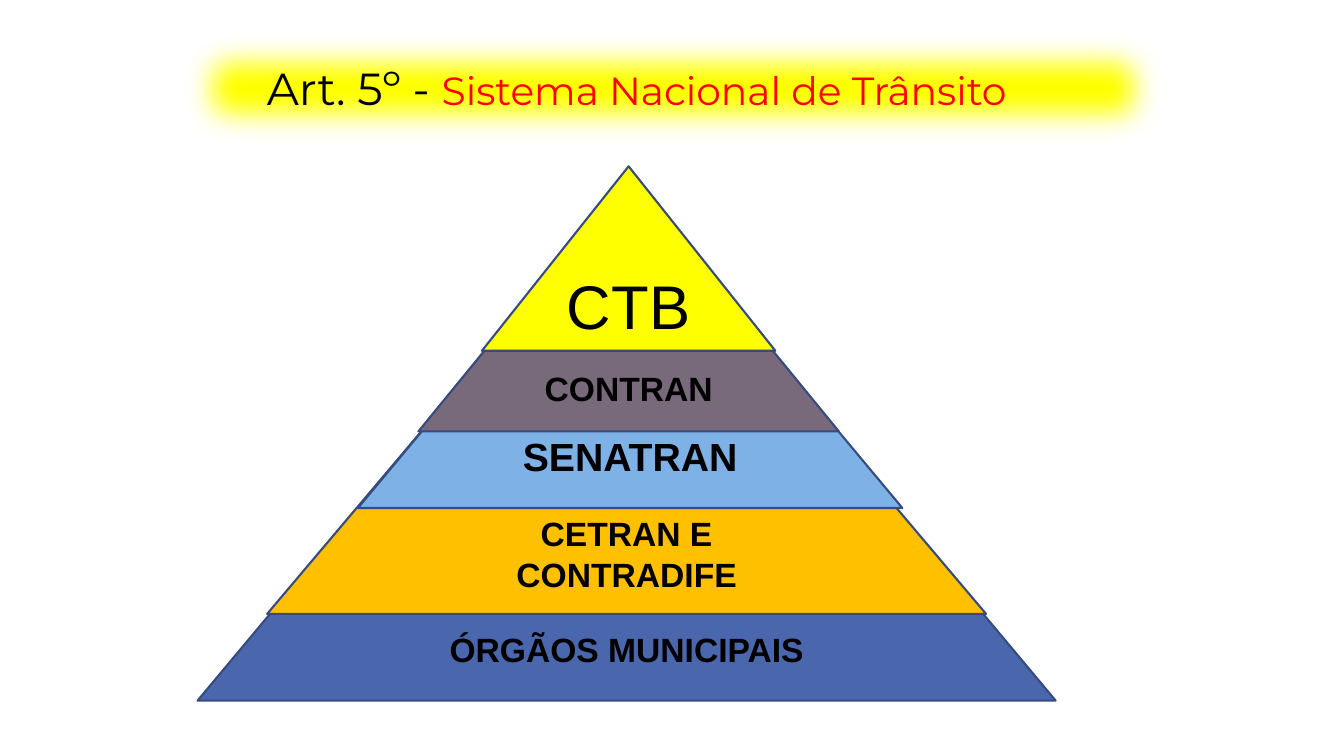
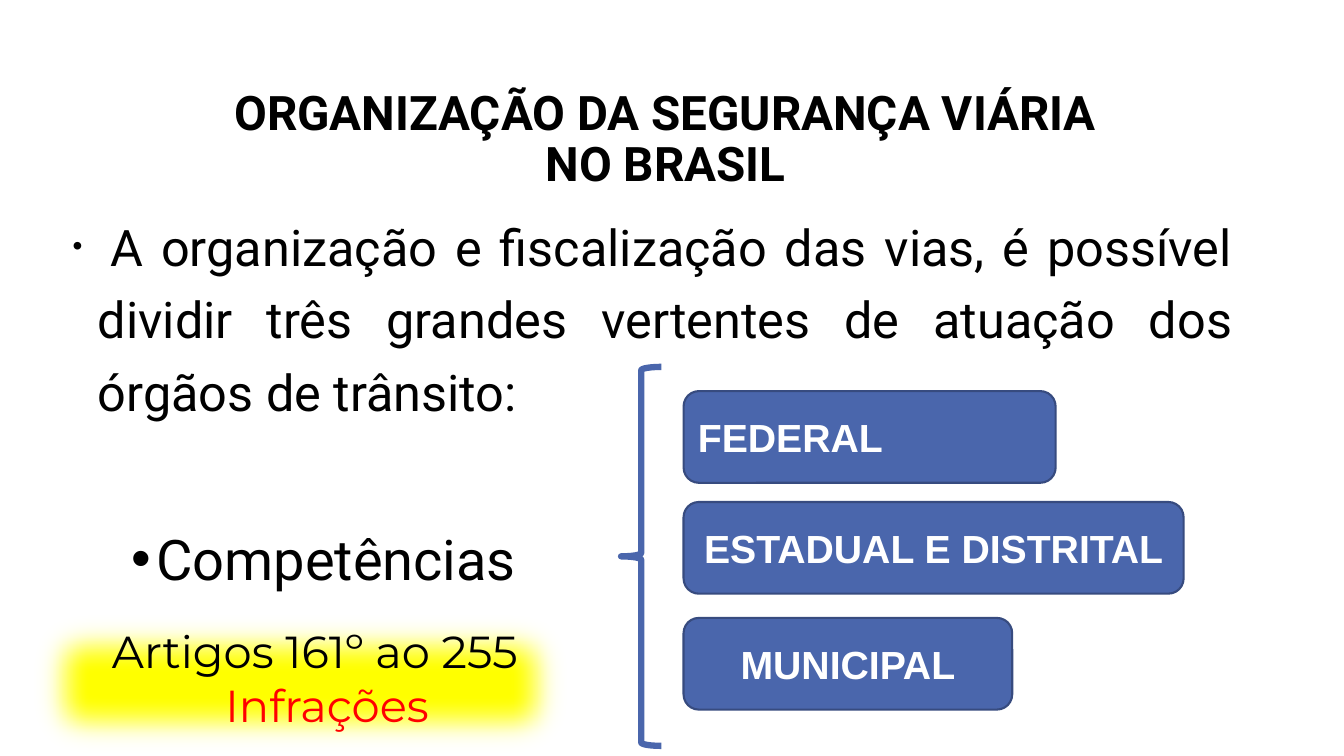
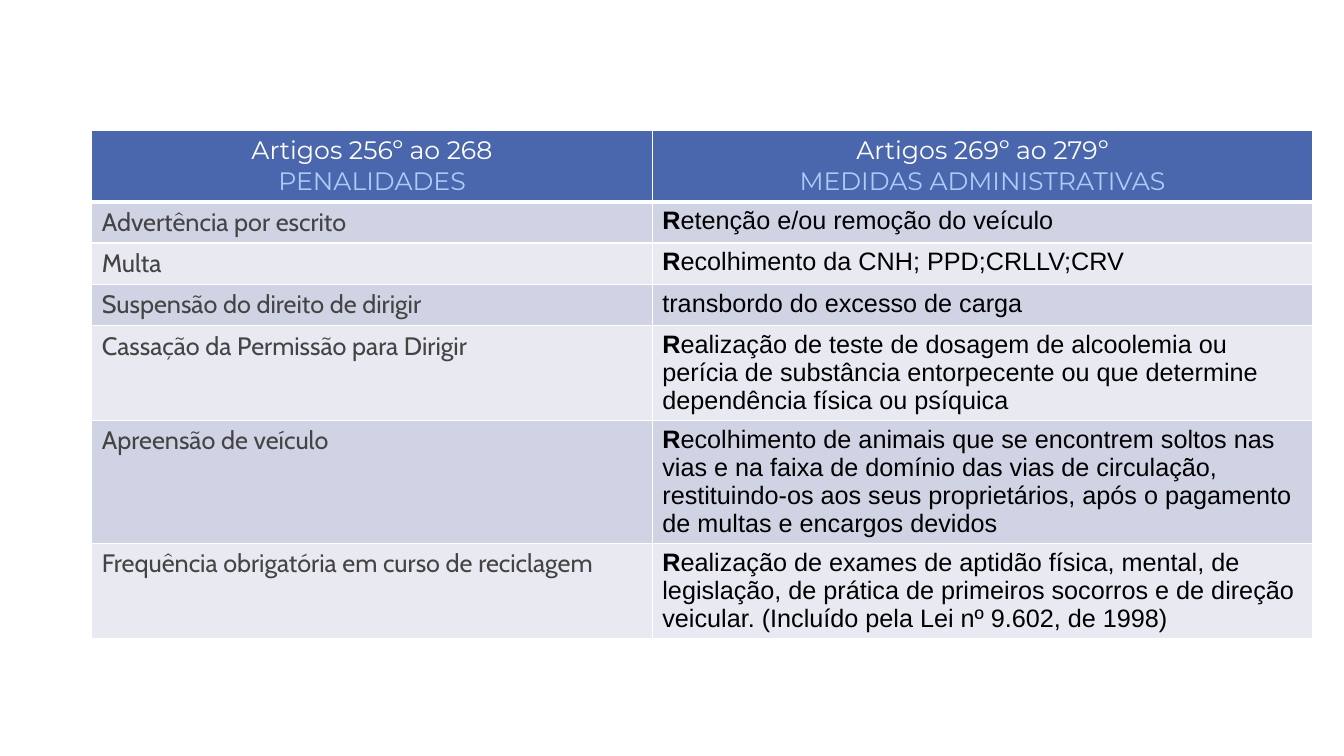
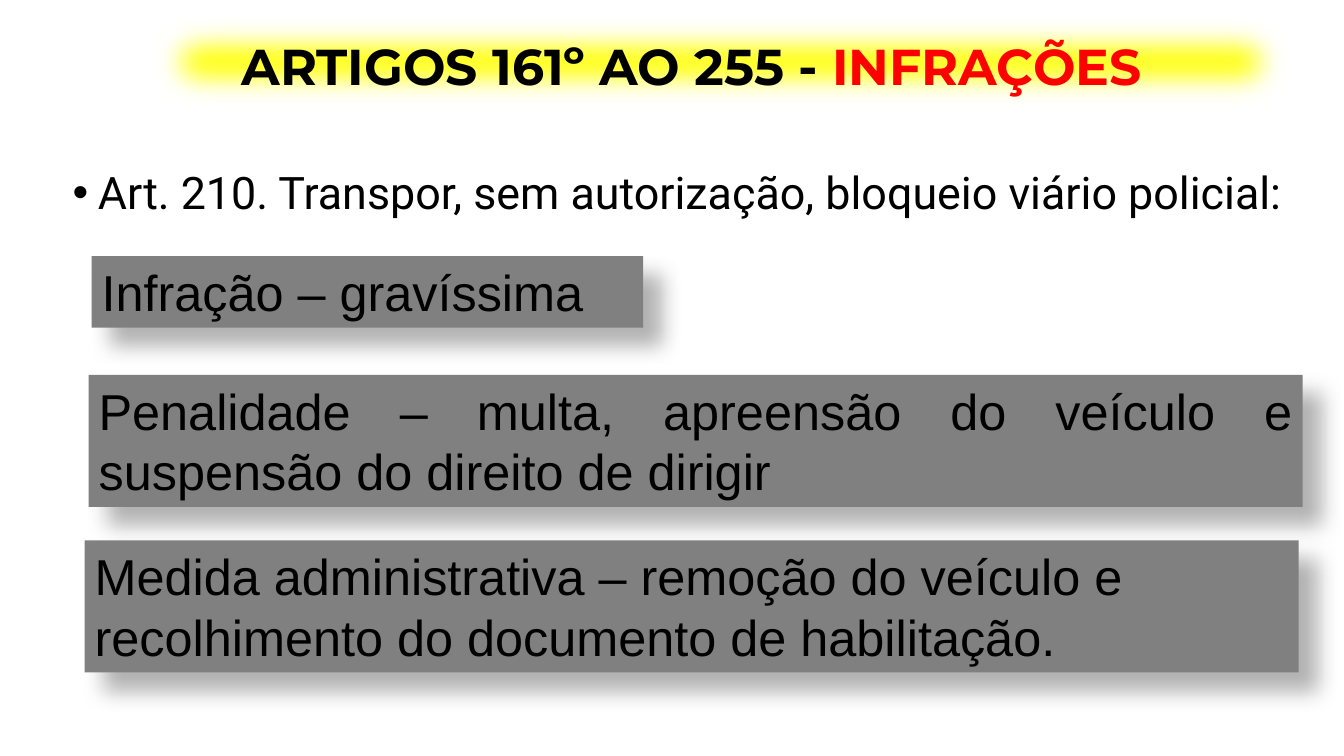
from collections import namedtuple

from lxml import etree
from pptx import Presentation
from pptx import util as u
from pptx.dml.color import RGBColor
from pptx.enum import shapes, text
from pptx.oxml import ns

BLACK = RGBColor(0x00, 0x00, 0x00)
WHITE = RGBColor(0xFF, 0xFF, 0xFF)
RED = RGBColor(0xFF, 0x00, 0x00)
YELLOW = RGBColor(0xFF, 0xFF, 0x00)
BLUE = RGBColor(0x4A, 0x66, 0xAC)
NAVY = RGBColor(0x37, 0x4B, 0x7F)
SKY = RGBColor(0x7E, 0xB2, 0xE6)
PALE_BLUE = RGBColor(0xAC, 0xCB, 0xF9)
AMBER = RGBColor(0xFF, 0xC0, 0x00)
MAUVE = RGBColor(0x78, 0x69, 0x7B)
GRAY = RGBColor(0x80, 0x80, 0x80)
DARK_GRAY = RGBColor(0x44, 0x44, 0x44)
ROW_FILLS = (RGBColor(0xD0, 0xD3, 0xE3), RGBColor(0xE9, 0xEA, 0xF1))

ALIGN = text.PP_ALIGN
ANCHOR = text.MSO_ANCHOR
SHAPE = shapes.MSO_SHAPE

Span = namedtuple("Span", "words size font color bold", defaults=("Arial", BLACK, False))


def add_node(parent, tag, **attributes):
    return etree.SubElement(parent, ns.qn(tag), {key: str(value) for key, value in attributes.items()})


def write(para, spans, align=ALIGN.LEFT):
    para.alignment = align
    for span in spans:
        for index, line in enumerate(span.words.split("\n")):
            if index:
                para.add_line_break()
            run = para.add_run()
            run.text = line
            run.font.size = u.Pt(span.size)
            run.font.name = span.font
            run.font.color.rgb = span.color
            run.font.bold = span.bold


def set_frame(shape, anchor):
    frame = shape.text_frame
    frame.word_wrap = True
    frame.auto_size = text.MSO_AUTO_SIZE.NONE
    frame.vertical_anchor = anchor
    return frame


def place(shape, box):
    shape.left, shape.top, shape.width, shape.height = map(u.Inches, box)


def add_title(page, box, spans, spacing=0.9):
    title = page.shapes.title
    place(title, box)
    para = set_frame(title, ANCHOR.MIDDLE).paragraphs[0]
    para.line_spacing = spacing
    write(para, spans, ALIGN.CENTER)
    return title


def add_bullet(holder, box, spans, align=ALIGN.LEFT):
    place(holder, box)
    para = set_frame(holder, ANCHOR.TOP).paragraphs[0]
    para.line_spacing = 1.2
    para.space_before = u.Pt(10)
    write(para, spans, align)
    properties = para._p.get_or_add_pPr()
    properties.set("marL", str(u.Inches(0.25)))
    properties.set("indent", str(u.Inches(-0.25)))
    add_node(properties, "a:buFont", typeface="Arial")
    add_node(properties, "a:buChar", char="•")


def add_box(page, kind, box, fill=None, line=None, width=1.5):
    shape = page.shapes.add_shape(kind, *map(u.Inches, box))
    shape.shadow.inherit = False
    if fill is None:
        shape.fill.background()
    else:
        shape.fill.solid()
        shape.fill.fore_color.rgb = fill
    if line is None:
        shape.line.fill.background()
    else:
        shape.line.color.rgb = line
        shape.line.width = u.Pt(width)
    return shape


def effects_of(shape):
    return shape.element.spPr.find(ns.qn("a:effectLst"))


def add_glow(page, box):
    glow = add_box(page, SHAPE.RECTANGLE, box, YELLOW)
    add_node(effects_of(glow), "a:softEdge", rad=u.Pt(25))
    return glow


def add_level(page, box, fill, span, bottom):
    level = add_box(page, SHAPE.ISOSCELES_TRIANGLE, box, fill, NAVY)
    frame = set_frame(level, ANCHOR.BOTTOM)
    frame.margin_left = frame.margin_right = u.Inches(0.02)
    frame.margin_bottom = u.Inches(bottom)
    write(frame.paragraphs[0], [span], ALIGN.CENTER)


def add_sphere(page, box, words, align):
    sphere = add_box(page, SHAPE.ROUNDED_RECTANGLE, box, BLUE, NAVY)
    frame = set_frame(sphere, ANCHOR.MIDDLE)
    write(frame.paragraphs[0], [Span(words, 28, color=WHITE, bold=True)], align)


def add_consequence(page, box, words, align=ALIGN.LEFT):
    panel = add_box(page, SHAPE.RECTANGLE, box, GRAY)
    shadow = add_node(effects_of(panel), "a:outerShdw", blurRad=u.Pt(15), dist=u.Pt(18),
                      dir=45 * 60000, algn="tl", rotWithShape=0)
    color = add_node(shadow, "a:srgbClr", val=BLACK)
    add_node(color, "a:alpha", val=30000)
    frame = set_frame(panel, ANCHOR.TOP)
    frame.auto_size = text.MSO_AUTO_SIZE.SHAPE_TO_FIT_TEXT
    write(frame.paragraphs[0], [Span(words, 36)], align)


def style_cell(cell, fill, bottom=1):
    cell.fill.solid()
    cell.fill.fore_color.rgb = fill
    properties = cell._tc.get_or_add_tcPr()
    for index, (side, points) in enumerate((("L", 1), ("R", 1), ("T", 1), ("B", bottom))):
        border = add_node(properties, f"a:ln{side}", w=u.Pt(points))
        add_node(add_node(border, "a:solidFill"), "a:srgbClr", val=WHITE)
        properties.insert(index, border)


def add_measures_table(page, box, widths, heights, headers, rows):
    frame = page.shapes.add_table(len(rows) + 1, len(widths), *map(u.Inches, box))
    table = frame.table
    table.first_row = table.horz_banding = False
    for column, width in zip(table.columns, widths):
        column.width = u.Inches(width)
    for row, height in zip(table.rows, heights):
        row.height = u.Inches(height)
    for column, (articles, heading) in enumerate(headers):
        cell = table.cell(0, column)
        style_cell(cell, BLUE, 3)
        write(cell.text_frame.paragraphs[0], [Span(articles, 18, "Montserrat", WHITE)], ALIGN.CENTER)
        write(cell.text_frame.add_paragraph(), [Span(heading, 18, "Montserrat", PALE_BLUE)], ALIGN.CENTER)
    for number, (penalty, measure) in enumerate(rows, 1):
        initial = 1 if measure[0].isupper() else 0
        measure_spans = [Span(measure[:initial], 18, bold=True)] if initial else []
        measure_spans.append(Span(measure[initial:], 18))
        contents = ([Span(penalty, 18, "Cabin", DARK_GRAY)], measure_spans)
        for column, spans in enumerate(contents):
            cell = table.cell(number, column)
            style_cell(cell, ROW_FILLS[(number - 1) % 2])
            write(cell.text_frame.paragraphs[0], spans)


def build_pyramid(deck):
    page = deck.slides.add_slide(deck.slide_layouts[5])
    title = add_title(page, (1.56, 0.27, 9.51, 1.2), [
        Span("Art. 5º - ", 32, "Montserrat"),
        Span("Sistema Nacional de Trânsito", 28, "Montserrat", RED),
    ], 1.0)
    title.element.addprevious(add_glow(page, (1.67, 0.18, 10, 1.37)).element)
    levels = (
        ((1.96, 1.86, 8.51, 5.09), BLUE, Span("ÓRGÃOS MUNICIPAIS", 24, bold=True), 0.31),
        ((2.65, 1.87, 7.13, 4.22), AMBER, Span("CETRAN E CONTRADIFE", 24, bold=True), 0.2),
        ((3.55, 1.8, 5.4, 3.24), SKY, Span("SENATRAN", 28, bold=True), 0.28),
        ((4.15, 1.73, 4.17, 2.55), MAUVE, Span("CONTRAN", 24, bold=True), 0.23),
        ((4.78, 1.65, 2.91, 1.83), YELLOW, Span("CTB", 44), 0.09),
    )
    for level in levels:
        add_level(page, *level)


def build_organization(deck):
    page = deck.slides.add_slide(deck.slide_layouts[3])
    add_title(page, (0.94, 0.67, 11.32, 1.45), [
        Span("ORGANIZAÇÃO DA SEGURANÇA VIÁRIA\nNO BRASIL", 34, "Roboto", bold=True),
    ])
    add_bullet(page.placeholders[1], (0.62, 1.97, 11.71, 4.04), [
        Span(" ", 20, "Roboto"),
        Span("A organização e fiscalização das vias, é possível dividir três grandes "
             "vertentes de atuação dos órgãos de trânsito:", 36, "Roboto"),
    ], ALIGN.JUSTIFY)
    add_bullet(page.placeholders[2], (1.2, 5.02, 4.8, 1), [Span("Competências", 40, "Roboto")])
    spheres = (
        (3.88, 3.69, "FEDERAL", ALIGN.LEFT),
        (4.98, 4.96, "ESTADUAL E DISTRITAL", ALIGN.CENTER),
        (6.13, 3.26, "MUNICIPAL", ALIGN.CENTER),
    )
    for top, width, words, align in spheres:
        add_sphere(page, (6.78, top, width, 0.91), words, align)
    add_box(page, SHAPE.LEFT_BRACE, (6.16, 3.64, 0.4, 3.76), line=BLUE, width=4.5)
    add_glow(page, (0.2, 5.97, 5.55, 1.62))
    caption = page.shapes.add_textbox(*map(u.Inches, (0.1, 5.95, 6.05, 1.55)))
    frame = set_frame(caption, ANCHOR.MIDDLE)
    write(frame.paragraphs[0], [Span("Artigos 161º ao 255", 32, "Montserrat")], ALIGN.CENTER)
    subject = frame.add_paragraph()
    write(subject, [Span("Infrações", 32, "Montserrat", RED)], ALIGN.CENTER)
    subject._p.get_or_add_pPr().set("marL", str(u.Inches(0.24)))


def build_measures(deck):
    page = deck.slides.add_slide(deck.slide_layouts[6])
    headers = (
        ("Artigos 256º ao 268", "PENALIDADES"),
        ("Artigos 269º ao 279º", "MEDIDAS ADMINISTRATIVAS"),
    )
    rows = (
        ("Advertência por escrito", "Retenção e/ou remoção do veículo"),
        ("Multa", "Recolhimento da CNH; PPD;CRLLV;CRV"),
        ("Suspensão do direito de dirigir", "transbordo do excesso de carga"),
        ("Cassação da Permissão para Dirigir",
         "Realização de teste de dosagem de alcoolemia ou perícia de substância "
         "entorpecente ou que determine dependência física ou psíquica"),
        ("Apreensão de veículo",
         "Recolhimento de animais que se encontrem soltos nas vias e na faixa de domínio "
         "das vias de circulação, restituindo-os aos seus proprietários, após o pagamento "
         "de multas e encargos devidos"),
        ("Frequência obrigatória em curso de reciclagem",
         "Realização de exames de aptidão física, mental, de legislação, de prática de "
         "primeiros socorros e de direção veicular. (Incluído pela Lei nº 9.602, de 1998)"),
    )
    add_measures_table(page, (0.91, 1.29, 12.11, 5.02), (5.56, 6.55),
                       (0.7, 0.41, 0.41, 0.41, 0.94, 1.22, 0.93), headers, rows)


def build_infraction(deck):
    page = deck.slides.add_slide(deck.slide_layouts[1])
    title = add_title(page, (1.2, 0.25, 11.32, 0.88), [
        Span("ARTIGOS 161º AO 255 - ", 36, "Montserrat", bold=True),
        Span("INFRAÇÕES", 36, "Montserrat", RED, True),
    ])
    title.element.addprevious(add_glow(page, (1.35, 0.03, 11.57, 1.16)).element)
    add_bullet(page.placeholders[1], (0.62, 1.48, 12.71, 1.91), [
        Span("Art. 210. Transpor, sem autorização, bloqueio viário policial:", 32, "Roboto"),
    ])
    add_consequence(page, (0.91, 2.54, 5.47, 0.71), "Infração – gravíssima")
    add_consequence(page, (0.88, 3.72, 12.04, 1.31),
                    "Penalidade – multa, apreensão do veículo e suspensão do direito de dirigir",
                    ALIGN.JUSTIFY)
    add_consequence(page, (0.84, 5.36, 12.04, 1.31),
                    "Medida administrativa – remoção do veículo e recolhimento do documento "
                    "de habilitação.")


def main():
    deck = Presentation()
    deck.slide_width = u.Inches(13.33)
    deck.slide_height = u.Inches(7.5)
    for build in (build_pyramid, build_organization, build_measures, build_infraction):
        build(deck)
    deck.save("out.pptx")


if __name__ == "__main__":
    main()
